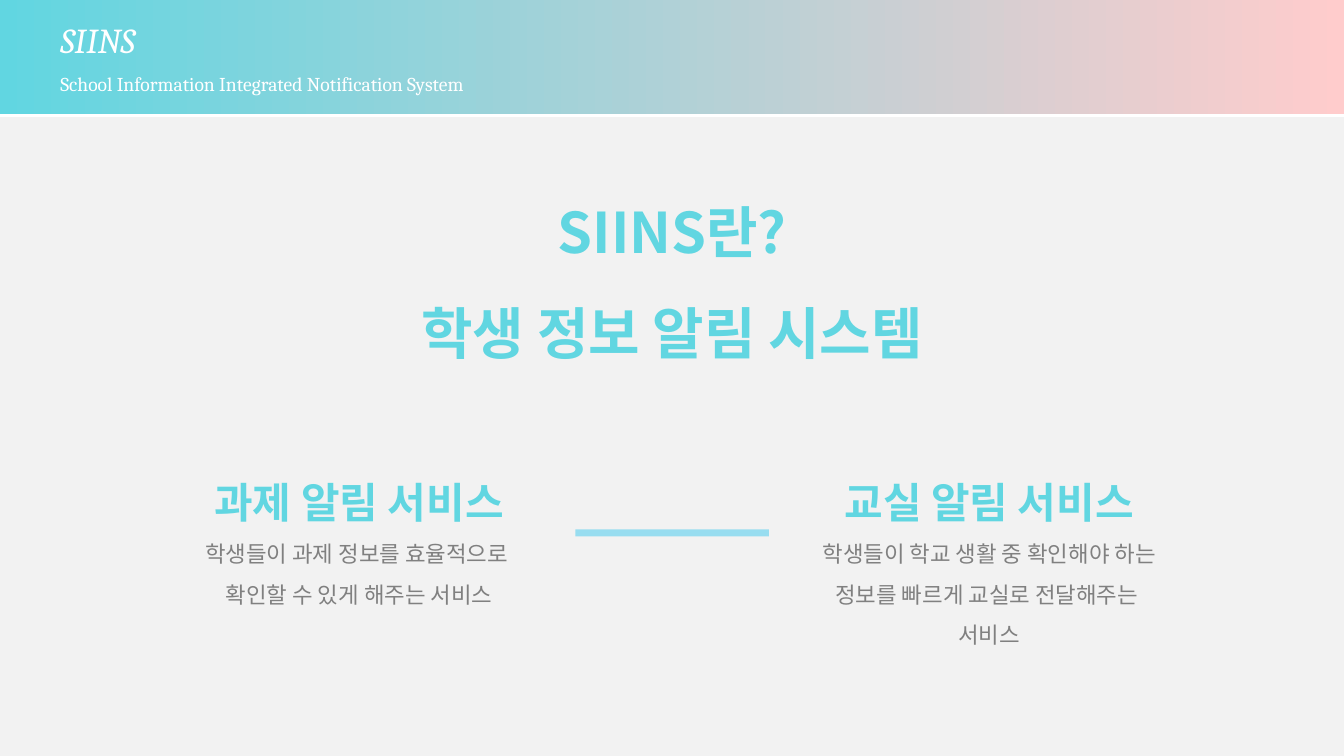
from dataclasses import dataclass

from lxml import etree
from pptx import Presentation
from pptx import util as u
from pptx.dml.color import RGBColor
from pptx.enum import shapes, text
from pptx.oxml.ns import qn


@dataclass(frozen=True)
class Theme:
    background: str = "F2F2F2"
    aqua: str = "61D6E1"
    pink: str = "FFCCCC"
    sky: str = "98DDF0"
    gray: str = "808080"
    white: str = "FFFFFF"
    serif: str = "Cambria"
    sans: str = "Noto Sans CJK KR"
    title: int = 40
    heading: int = 30
    brand: int = 25
    body: int = 16
    tagline: int = 14


class Deck:
    def __init__(self, theme):
        self.theme = theme
        self.prs = Presentation()
        self.prs.slide_width, self.prs.slide_height = u.Cm(33.87), u.Cm(19.05)
        self.s = self.prs.slides.add_slide(self.prs.slide_layouts[3])
        fill = self.s.background.fill
        fill.solid()
        fill.fore_color.rgb = RGBColor.from_string(theme.background)

    def paragraph(self, p, content, size, color, font, margin=0, **formats):
        for name, value in formats.pop("layout", {}).items():
            setattr(p, name, value)
        pPr = p._p.get_or_add_pPr()
        pPr.set("marL", str(u.Cm(margin)))
        pPr.set("indent", "0")
        etree.SubElement(pPr, qn("a:buNone"))
        r = p.add_run()
        r.text = content
        for name, value in {"size": u.Pt(size), "name": font, **formats}.items():
            setattr(r.font, name, value)
        r.font.color.rgb = RGBColor.from_string(color)
        etree.SubElement(r._r.get_or_add_rPr(), qn("a:ea"), typeface=font)

    def paragraphs(self, tf, lines):
        for i, line in enumerate(lines):
            p = tf.paragraphs[0] if i == 0 else tf.add_paragraph()
            self.paragraph(p, **line)

    def placeholder(self, index, box, lines):
        sp = self.s.placeholders[index]
        sp.left, sp.top, sp.width, sp.height = map(u.Cm, box)
        frame = {
            "word_wrap": True,
            "auto_size": text.MSO_AUTO_SIZE.SHAPE_TO_FIT_TEXT,
            "vertical_anchor": text.MSO_ANCHOR.TOP,
        }
        for name, value in frame.items():
            setattr(sp.text_frame, name, value)
        layout = {
            "alignment": text.PP_ALIGN.CENTER,
            "line_spacing": 1.5,
            "space_before": u.Pt(0),
        }
        self.paragraphs(sp.text_frame,
                        [{"font": self.theme.sans, "layout": layout, **line} for line in lines])

    def title(self, box, lines):
        t = self.theme
        self.placeholder(0, box, [
            {"content": line, "size": t.title, "color": t.aqua, "bold": True}
            for line in lines])

    def service(self, index, box, heading, lines):
        t = self.theme
        head = {"content": heading, "size": t.heading, "color": t.aqua, "bold": True}
        body = [{"content": line, "size": t.body, "color": t.gray, "bold": False}
                for line in lines]
        self.placeholder(index, box, [head, *body])

    def rectangle(self, box):
        sp = self.s.shapes.add_shape(shapes.MSO_SHAPE.RECTANGLE, *map(u.Cm, box))
        sp.shadow.inherit = False
        sp.line.fill.background()
        return sp

    def bar(self, box):
        fill = self.rectangle(box).fill
        fill.solid()
        fill.fore_color.rgb = RGBColor.from_string(self.theme.sky)

    def header(self, height, brand, tagline):
        t = self.theme
        sp = self.rectangle((0, 0, 33.87, height))
        sp.fill.gradient()
        sp.fill.gradient_angle = 0
        for stop, color in zip(sp.fill.gradient_stops, (t.aqua, t.pink)):
            stop.color.rgb = RGBColor.from_string(color)
        effects = sp._element.spPr.find(qn("a:effectLst"))
        shadow = etree.SubElement(effects, qn("a:outerShdw"), blurRad="0",
                                  dist=str(u.Pt(2)), dir="5400000",
                                  algn="t", rotWithShape="0")
        etree.SubElement(shadow, qn("a:srgbClr"), val=t.white)
        sp.text_frame.vertical_anchor = text.MSO_ANCHOR.MIDDLE
        common = {"color": t.white, "font": t.serif, "margin": 1.27}
        left = {"alignment": text.PP_ALIGN.LEFT}
        self.paragraphs(sp.text_frame, [
            {"content": brand, "size": t.brand, "italic": True,
             "layout": left, **common},
            {"content": tagline, "size": t.tagline, "italic": False,
             "layout": {**left, "line_spacing": 1.5}, **common},
        ])

    def save(self):
        self.prs.save("out.pptx")


def main():
    deck = Deck(Theme())
    deck.header(2.87, "SIINS", "School Information Integrated Notification System")
    deck.title((8.71, 4.01, 16.46, 6.1), ["SIINS란?", "학생 정보 알림 시스템"])
    deck.service(1, (4.01, 11.25, 10.08, 4.19), "과제 알림 서비스", [
        "학생들이 과제 정보를 효율적으로 ",
        "확인할 수 있게 해주는 서비스",
    ])
    deck.service(2, (19.89, 11.25, 10.08, 5.18), "교실 알림 서비스", [
        "학생들이 학교 생활 중 확인해야 하는 정보를 빠르게 교실로 전달해주는 ",
        "서비스",
    ])
    deck.bar((14.5, 13.34, 4.88, 0.18))
    deck.save()


if __name__ == "__main__":
    main()
